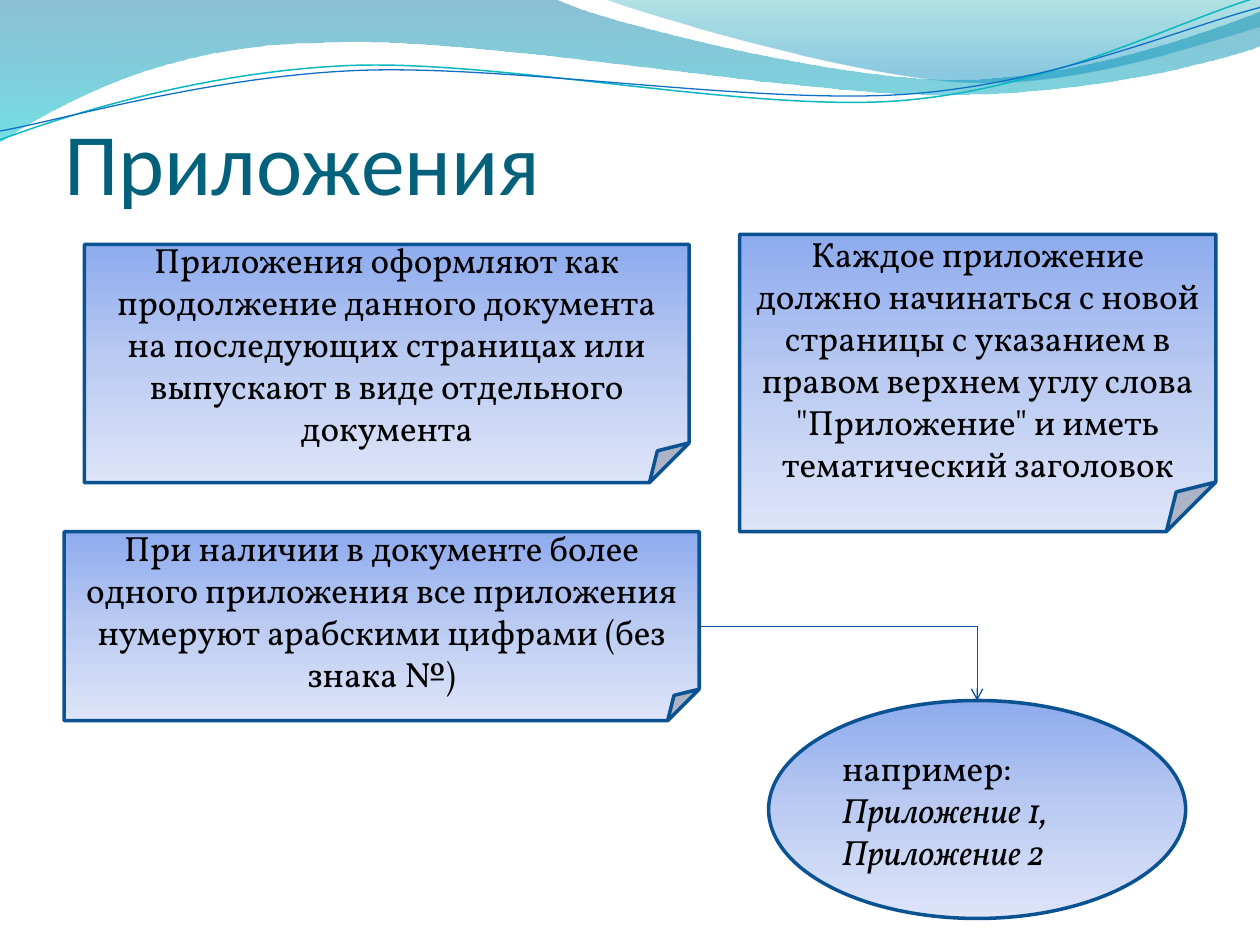
import math

import pptx
import pptx.dml.color
import pptx.enum.shapes
import pptx.enum.text
import pptx.oxml.ns
import pptx.util
from lxml import etree

Inches = pptx.util.Inches
Pt = pptx.util.Pt
MSO_SHAPE = pptx.enum.shapes.MSO_SHAPE
PP_ALIGN = pptx.enum.text.PP_ALIGN
MSO_ANCHOR = pptx.enum.text.MSO_ANCHOR
qn = pptx.oxml.ns.qn

COLORS = {
    "title": "04617B", "text": "000000", "outline": "0B5292", "arrow": "095295",
    "note_top": "8EABEE", "note_middle": "BBCBF2", "note_bottom": "DEE5F8",
    "wave_blue": "0074A1", "wave_cyan": "00C6CF",
    "crest_green": "00A1A9", "crest_blue": "008BBF",
    "curve_cyan": "0AB8BF", "curve_blue": "0F6FC6",
}
BODY_FONT = "Vollkorn"
CURVE_TILT = -2.7  # degrees
# Gradient stops: position, colour name, opacity (all in percent)
NOTE_STOPS = [(0, "note_top", 100), (50, "note_middle", 100), (100, "note_bottom", 100)]

# Outlines: a start point, then segments of one point (line) or three (Bezier curve)
WAVES = [
    ((0, -0.01),
     [[(4.4, -0.01)],
      [(4.76, 0.17), (6.64, 0.63), (7.58, 0.63)],
      [(8.53, 0.63), (9.58, 0.26), (10, 0.09)],
      [(10.01, 0.36)],
      [(9.83, 0.44), (8.7, 0.76), (7.46, 0.75)],
      [(6.22, 0.75), (3.82, 0.28), (2.57, 0.34)],
      [(1.29, 0.35), (0.46, 0.83), (-0.01, 1.13)],
      [(0, -0.01)]],
     [(0, "wave_blue", 45), (100, "wave_cyan", 55)]),
    ((4.79, -0.01),
     [[(5.09, 0.11), (6.82, 0.62), (7.69, 0.65)],
      [(8.56, 0.69), (9.61, 0.32), (10, 0.21)],
      [(10, 0)],
      [(4.79, -0.01)]],
     [(0, "crest_green", 30), (80, "crest_blue", 45)]),
]
# Tilted lines: start, segments, centre of the tilt, colour, width
CURVES = [
    ((0, 1.11),
     [[(0.48, 0.93), (1.58, 0.57), (2.77, 0.52)],
      [(3.95, 0.47), (5.93, 0.89), (7.13, 0.8)],
      [(8.33, 0.71), (9.38, 0.15), (9.98, -0.02)]],
     (4.99, 0.58), "curve_cyan", 0.85),
    ((0, 1.04),
     [[(0.47, 0.96), (1.64, 0.61), (2.83, 0.56)],
      [(4.03, 0.51), (5.97, 0.83), (7.17, 0.75)],
      [(8.36, 0.67), (9.41, 0.21), (10, 0.06)]],
     (5, 0.59), "curve_blue", 0.75),
]

NOTES = [
    ((0.67, 1.94, 4.8, 1.89),
     "Приложения оформляют как продолжение данного документа на последующих "
     "страницах или выпускают в виде отдельного документа"),
    ((5.87, 1.86, 3.78, 2.36),
     "Каждое приложение должно начинаться с новой страницы с указанием в правом "
     "верхнем углу слова \"Приложение\" и иметь тематический заголовок"),
    ((0.51, 4.22, 5.04, 1.5),
     "При наличии в документе более одного приложения все приложения нумеруют "
     "арабскими цифрами (без знака №)"),
]


def rgb(name):
    return pptx.dml.color.RGBColor.from_string(COLORS[name])


def set_line(line, color, width):
    line.color.rgb = rgb(color)
    line.width = Pt(width)


def set_gradient(shape, stops):
    """Fill a shape from top to bottom."""
    shape.fill.gradient()
    shape.fill.gradient_angle = 270
    stop_list = shape.element.spPr.find(".//" + qn("a:gsLst"))
    for stop in list(stop_list):
        stop_list.remove(stop)
    for position, color, opacity in stops:
        stop = etree.SubElement(stop_list, qn("a:gs"), pos=str(position * 1000))
        value = etree.SubElement(stop, qn("a:srgbClr"), val=COLORS[color])
        if opacity < 100:
            etree.SubElement(value, qn("a:alpha"), val=str(opacity * 1000))


def turn(point, center, degrees):
    """Turn a point clockwise around a centre."""
    angle = math.radians(degrees)
    x, y = point[0] - center[0], point[1] - center[1]
    return (center[0] + x * math.cos(angle) - y * math.sin(angle),
            center[1] + x * math.sin(angle) + y * math.cos(angle))


def add_outline(slide, start, segments, close):
    points = [start] + [point for segment in segments for point in segment]
    points = [(Inches(x), Inches(y)) for x, y in points]
    builder = slide.shapes.build_freeform(*points[0])
    builder.add_line_segments(points[1:], close=close)
    shape = builder.convert_to_shape()
    shape.shadow.inherit = False
    # Join each three points of a curved segment into one Bezier curve
    steps = iter(shape.element.spPr.findall(".//" + qn("a:lnTo")))
    for segment in segments:
        parts = [next(steps) for _ in segment]
        if len(parts) == 3:
            curve = etree.Element(qn("a:cubicBezTo"))
            parts[0].addprevious(curve)
            for part in parts:
                curve.append(part[0])
                part.getparent().remove(part)
    return shape


def add_waves(slide):
    for start, segments, stops in WAVES:
        shape = add_outline(slide, start, segments, close=True)
        set_gradient(shape, stops)
        shape.line.fill.background()
    for start, segments, center, color, width in CURVES:
        level = [[turn(point, center, -CURVE_TILT) for point in segment]
                 for segment in segments]
        shape = add_outline(slide, turn(start, center, -CURVE_TILT), level, close=False)
        shape.rotation = CURVE_TILT
        shape.fill.background()
        set_line(shape.line, color, width)


def add_title(slide, text):
    title = slide.shapes.title
    title.left, title.top = Inches(0.51), Inches(0.44)
    title.width, title.height = Inches(9.08), Inches(1.25)
    frame = title.text_frame
    frame.text = text
    frame.auto_size = pptx.enum.text.MSO_AUTO_SIZE.NONE
    frame.vertical_anchor = MSO_ANCHOR.BOTTOM
    frame.margin_left = frame.margin_right = frame.margin_bottom = 0
    frame.margin_top = Inches(0.05)
    paragraph = frame.paragraphs[0]
    paragraph.alignment = PP_ALIGN.LEFT
    font = paragraph.runs[0].font
    font.name, font.size, font.color.rgb = "Calibri", Pt(50), rgb("title")
    # Bring the title in front of the waves
    title.element.getparent().append(title.element)


def add_note(slide, preset, box, text, alignment):
    shape = slide.shapes.add_shape(preset, *map(Inches, box))
    shape.shadow.inherit = False
    set_gradient(shape, NOTE_STOPS)
    set_line(shape.line, "outline", 2)
    frame = shape.text_frame
    frame.word_wrap = True
    frame.vertical_anchor = MSO_ANCHOR.MIDDLE
    frame.text = text
    for paragraph in frame.paragraphs:
        paragraph.alignment = alignment
        font = paragraph.runs[0].font
        font.name, font.size, font.color.rgb = BODY_FONT, Pt(20), rgb("text")
    return shape


def add_elbow_arrow(slide, source, target):
    """Arrow from the right side of source to the top of target."""
    connector = slide.shapes.add_connector(
        pptx.enum.shapes.MSO_CONNECTOR.ELBOW, 0, 0, 0, 0)
    connector.begin_connect(source, 3)
    connector.end_connect(target, 0)
    set_line(connector.line, "arrow", 0.75)
    properties = connector.element.spPr
    properties.find(qn("a:prstGeom")).set("prst", "bentConnector2")
    etree.SubElement(properties.find(qn("a:ln")), qn("a:tailEnd"), type="arrow")
    etree.SubElement(properties, qn("a:effectLst"))


def main():
    presentation = pptx.Presentation()
    presentation.slide_width, presentation.slide_height = Inches(10), Inches(7.5)
    slide = presentation.slides.add_slide(presentation.slide_layouts[5])

    # Header
    add_waves(slide)
    add_title(slide, "Приложения")

    # Rules and the example
    notes = [add_note(slide, MSO_SHAPE.FOLDED_CORNER, box, text, PP_ALIGN.CENTER)
             for box, text in NOTES]
    example = add_note(slide, MSO_SHAPE.OVAL, (6.1, 5.56, 3.31, 1.73),
                       "например:\nПриложение 1, Приложение 2", PP_ALIGN.LEFT)
    example.text_frame.paragraphs[1].runs[0].font.italic = True
    add_elbow_arrow(slide, notes[-1], example)

    presentation.save("out.pptx")


if __name__ == "__main__":
    main()
